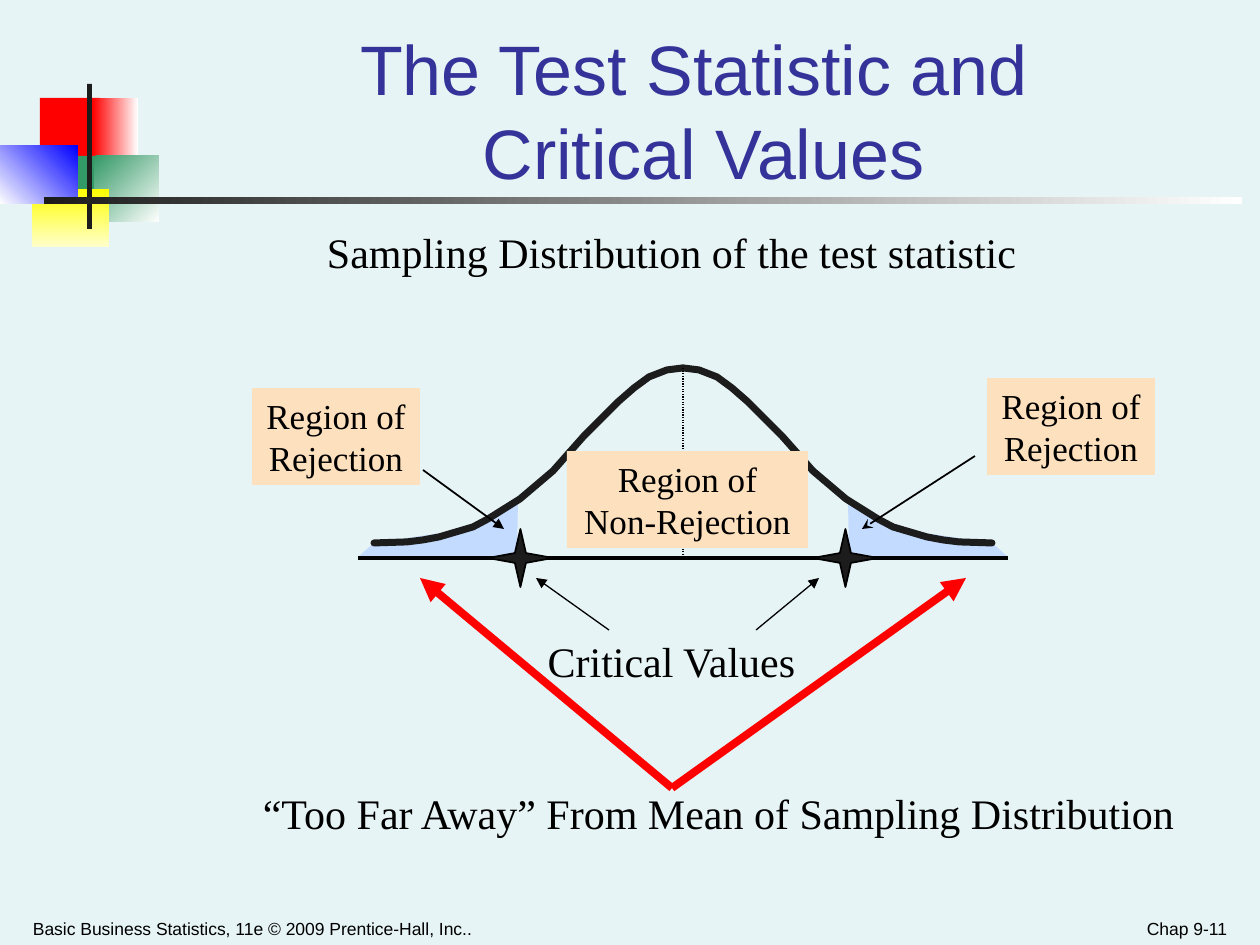
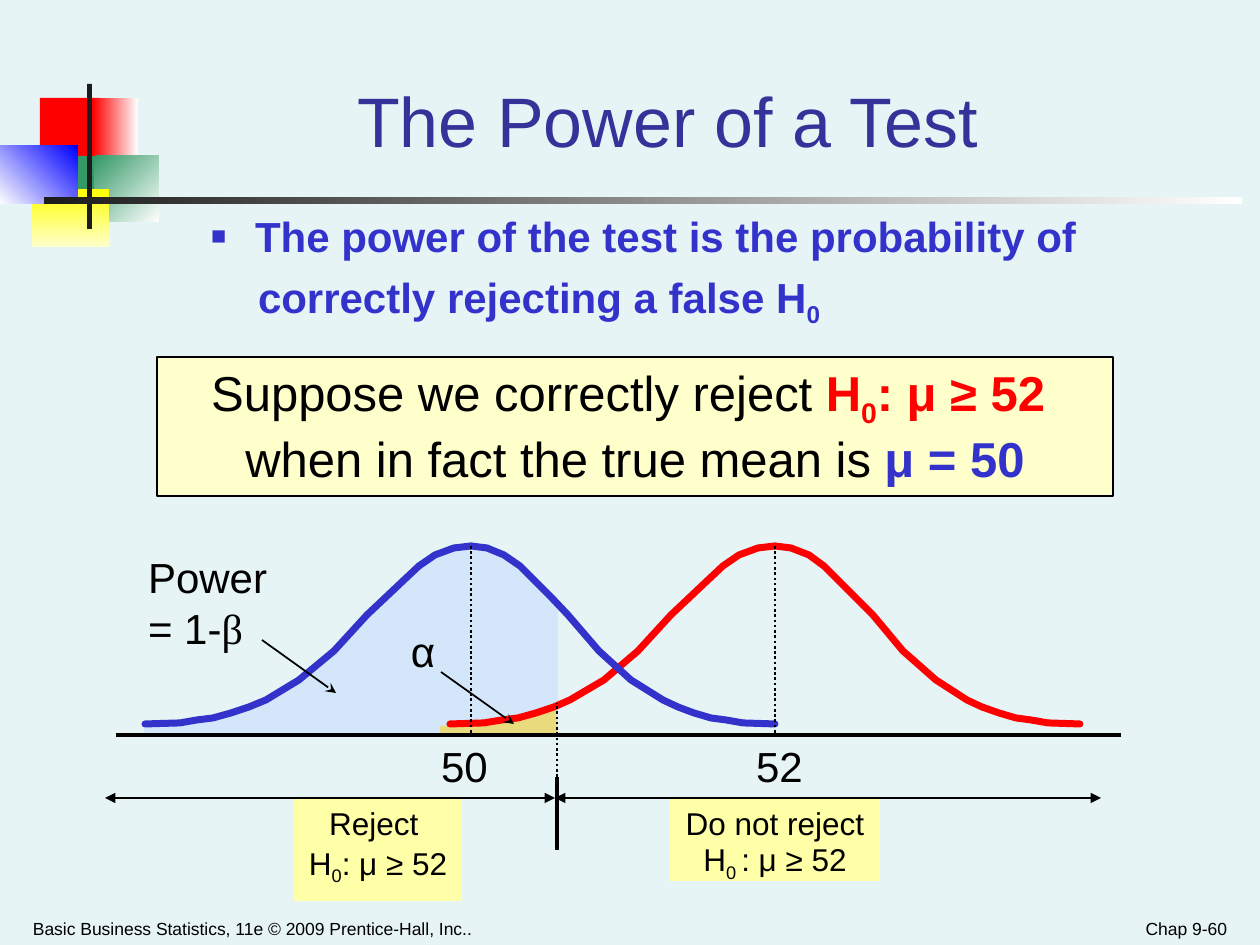
import dataclasses

import lxml.etree
import pptx
import pptx.dml.color
import pptx.enum.dml
import pptx.enum.shapes
import pptx.enum.text
import pptx.oxml.ns
import pptx.util

qn = pptx.oxml.ns.qn
SHAPE = pptx.enum.shapes.MSO_SHAPE
ALIGN = pptx.enum.text.PP_ALIGN
ANCHOR = pptx.enum.text.MSO_ANCHOR


@dataclasses.dataclass(frozen=True)
class Theme:
    background: str = "E7F4F5"
    title: str = "333399"
    text: str = "000000"
    ink: str = "1C1C1C"
    blue: str = "3333CC"
    red: str = "FF0000"
    tail: str = "C3DBFF"
    alpha_area: str = "FFCF01"
    region: str = "FDE0BD"
    decision: str = "FFFFA7"
    statement: str = "FFFFCC"
    sans: str = "Arial"
    serif: str = "Times New Roman"
    title_size: int = 40
    statement_size: int = 28
    body_size: int = 24
    region_size: int = 20
    decision_size: int = 18
    footer_size: int = 10


THEME = Theme()
SUB = {"sub": True}
# Left half of a bell curve: percent of the half width, percent of the height.
BELL_HALF = [(0, 0), (10.6, 0.8), (16, 2), (21, 3.5), (26.5, 6), (32, 9.3),
             (37, 13.5), (47.3, 25), (58, 41), (68, 61), (73.5, 71), (79, 80.5),
             (84, 88.5), (89, 95), (94.7, 98.6), (100, 100)]


@dataclasses.dataclass
class Para:
    """A paragraph; each run is a string or a (string, format changes) pair."""
    runs: list
    align: ALIGN = ALIGN.LEFT
    before: float = 0
    spacing: float = 1.0
    margin: int = 0
    bullet: str = ""


def centered(*runs, **options):
    return Para(list(runs), ALIGN.CENTER, **options)


def rgb(color):
    return pptx.dml.color.RGBColor.from_string(color)


class Deck:
    PX = 914400 / 126
    LAYOUTS = {"title": 5, "list": 1}

    def __init__(self, theme):
        self.theme = theme
        self.prs = pptx.Presentation()
        self.prs.slide_width = self.emu(1260)
        self.prs.slide_height = self.emu(945)
        fill = self.prs.slide_master.background.fill
        fill.solid()
        fill.fore_color.rgb = rgb(theme.background)
        self.slide = None

    def emu(self, px):
        return pptx.util.Emu(round(px * self.PX))

    def new_slide(self, layout, number):
        first = self.slide is None
        self.slide = self.prs.slides.add_slide(
            self.prs.slide_layouts[self.LAYOUTS[layout]])
        if first:
            self.furnish_master()
        self.footer((945, 901, 294, 44), number, ALIGN.RIGHT)

    def furnish_master(self):
        """Draw the shared emblem, rule and footer, then move them to the master."""
        t = self.theme
        parts = [self.box(at, fill) for at, fill in [
            ((40, 98, 60, 66), t.red),
            ((93, 98, 45, 66), (t.red, "FFFFFF", 0)),
            ((94, 156, 65, 66), ("339966", "FFFFFF", 45)),
            ((54, 156, 40, 66), "339966"),
            ((32, 189, 77, 58), ("FFFF00", "FFFFCC", 90)),
            ((0, 146, 78, 58), ("FFFFFF", "0000FF", 315)),
            ((87, 84, 5, 145), t.ink),
            ((44, 197, 1198, 7), (t.ink, "FFFFFF", 0)),
        ]]
        parts.append(self.footer(
            (21, 901, 640, 44),
            "Basic Business Statistics, 11e © 2009 Prentice-Hall, Inc..", ALIGN.LEFT))
        for shape_id, sp in enumerate(parts, 100):
            sp.element.nvSpPr.cNvPr.set("id", str(shape_id))
            self.prs.slide_master.shapes.element.append(sp.element)

    def footer(self, at, text, align):
        return self.text(at, [Para([text], align)], size=self.theme.footer_size,
                         anchor=ANCHOR.BOTTOM)

    def paint(self, sp, fill=None, line=None, width=1, alpha=None):
        """Fill with a colour or a (from, to, clockwise angle) gradient."""
        sp.shadow.inherit = False
        if fill is None:
            sp.fill.background()
        elif isinstance(fill, tuple):
            sp.fill.gradient()
            sp.fill.gradient_angle = -fill[2] % 360
            for stop, color in zip(sp.fill.gradient_stops, fill):
                stop.color.rgb = rgb(color)
        else:
            sp.fill.solid()
            sp.fill.fore_color.rgb = rgb(fill)
        if alpha:
            color = sp.element.spPr.find(qn("a:solidFill")).find(qn("a:srgbClr"))
            lxml.etree.SubElement(color, qn("a:alpha")).set("val", str(alpha * 1000))
        if line:
            sp.line.color.rgb = rgb(line)
            sp.line.width = pptx.util.Pt(width)
        else:
            sp.line.fill.background()
        return sp

    def box(self, at, fill, line=None, width=1, shape=SHAPE.RECTANGLE):
        sp = self.slide.shapes.add_shape(shape, *map(self.emu, at))
        return self.paint(sp, fill, line, width)

    def star(self, at):
        sp = self.box(at, self.theme.ink, self.theme.text, shape=SHAPE.STAR_4_POINT)
        sp.adjustments[0] = 0.12

    def outline(self, points, close=True, **style):
        builder = self.slide.shapes.build_freeform(*points[0], scale=self.PX)
        builder.add_line_segments(points[1:], close=close)
        return self.paint(builder.convert_to_shape(), **style)

    def bell(self, left, peak, right, top, foot, color):
        for end in (left, right):
            points = [(end + (peak - end) * x / 100, foot + (top - foot) * y / 100)
                      for x, y in BELL_HALF]
            sp = self.outline(points, close=False, line=color, width=4)
            sp.element.spPr.find(qn("a:ln")).set("cap", "rnd")

    def line(self, start, end, width=1, color=None, head=None, tail=None, dotted=False):
        cn = self.slide.shapes.add_connector(
            pptx.enum.shapes.MSO_CONNECTOR.STRAIGHT,
            *map(self.emu, (*start, *end)))
        cn.line.color.rgb = rgb(color or self.theme.text)
        cn.line.width = pptx.util.Pt(width)
        if dotted:
            cn.line.dash_style = pptx.enum.dml.MSO_LINE.ROUND_DOT
        ln = cn.element.spPr.find(qn("a:ln"))
        for tag, kind in (("a:headEnd", head), ("a:tailEnd", tail)):
            if kind:
                lxml.etree.SubElement(ln, qn(tag)).set("type", kind)
        lxml.etree.SubElement(cn.element.spPr, qn("a:effectLst"))

    def text(self, at, paras, **style):
        sp = self.slide.shapes.add_textbox(*map(self.emu, at))
        return self.set_text(sp, paras, **style)

    def label(self, at, fill, paras, line=None, width=1, **style):
        return self.set_text(self.box(at, fill, line, width), paras, **style)

    def placeholder(self, index, at, paras, **style):
        sp = self.slide.placeholders[index]
        sp.left, sp.top, sp.width, sp.height = map(self.emu, at)
        return self.set_text(sp, paras, **style)

    def title(self, at, *runs):
        self.placeholder(0, at, [centered(*runs)], size=self.theme.title_size,
                         color=self.theme.title, anchor=ANCHOR.BOTTOM)

    def set_text(self, sp, paras, anchor=ANCHOR.TOP, **style):
        tf = sp.text_frame
        tf.word_wrap = True
        tf.auto_size = pptx.enum.text.MSO_AUTO_SIZE.NONE
        tf.vertical_anchor = anchor
        tf.margin_left = tf.margin_right = self.emu(12)
        tf.margin_top = tf.margin_bottom = self.emu(6)
        for i, para in enumerate(paras):
            p = tf.add_paragraph() if i else tf.paragraphs[0]
            p.alignment = para.align
            p.space_before = pptx.util.Pt(para.before if i else 0)
            p.line_spacing = para.spacing
            self.indent(p, para)
            for run in para.runs:
                text, changes = (run, {}) if isinstance(run, str) else run
                if text == "\n":
                    p.add_line_break()
                else:
                    self.add_run(p, text, **{**style, **changes})
        return sp

    def indent(self, p, para):
        pPr = p._p.get_or_add_pPr()
        pPr.set("marL", str(self.emu(para.margin)))
        pPr.set("indent", str(self.emu(-para.margin if para.bullet else 0)))
        if not para.bullet:
            lxml.etree.SubElement(pPr, qn("a:buNone"))
            return
        color = lxml.etree.SubElement(pPr, qn("a:buClr"))
        lxml.etree.SubElement(color, qn("a:srgbClr")).set("val", self.theme.blue)
        for tag, key, value in (("a:buSzPct", "val", "60000"),
                                ("a:buFont", "typeface", self.theme.sans),
                                ("a:buChar", "char", para.bullet)):
            lxml.etree.SubElement(pPr, qn(tag)).set(key, value)

    def add_run(self, p, text, size, font=None, color=None, bold=False, sub=False):
        r = p.add_run()
        r.text = text
        r.font.size = pptx.util.Pt(size)
        r.font.name = font or self.theme.sans
        r.font.bold = bold
        r.font.color.rgb = rgb(color or self.theme.text)
        if sub:
            r._r.get_or_add_rPr().set("baseline", "-25000")


def critical_values_slide(deck):
    t = deck.theme
    peak, axis = 683, 558
    deck.new_slide("title", "Chap 9-11")
    deck.title((220, 21, 967, 179), "The Test Statistic and ", "\n", "Critical Values")

    left_tail = [(358, 557), (374, 543), (441, 533), (475, 523), (513, 503),
                 (518, 500), (517, 557), (358, axis)]
    right_tail = [(2 * peak - x, y) for x, y in left_tail]
    for tail in (right_tail, left_tail):
        deck.outline(tail, fill=t.tail)
    deck.bell(374, peak, 992, 368, 543, t.ink)
    deck.line((358, axis), (1008, axis), 2)
    deck.line((peak, 368), (peak, axis), 0.75, dotted=True)
    for x in (488, 813):
        deck.star((x, 529, 65, 58))

    deck.line((423, 470), (504, 529), tail="triangle")
    deck.line((975, 456), (862, 529), tail="stealth")
    serif = {"size": t.body_size, "font": t.serif}
    deck.text((136, 630, 1071, 217), [
        centered("Critical Values"),
        centered("“Too Far Away” From Mean of Sampling Distribution",
                 before=58, margin=94)], **serif)
    deck.text((315, 221, 809, 63),
              [Para(["Sampling Distribution of the test statistic"])], **serif)
    deck.line((609, 630), (536, 578), 0.75, tail="triangle")
    deck.line((756, 630), (819, 578), 0.75, tail="triangle")
    for x in (420, 966):
        deck.line((672, 788), (x, 578), 4.5, t.red, tail="triangle")
    for at, lines in (((252, 388, 168, 97), ["Region of Rejection"]),
                      ((987, 378, 168, 97), ["Region of Rejection"]),
                      ((567, 451, 241, 97), ["Region of", "Non-Rejection"])):
        deck.label(at, t.region, [centered(line) for line in lines],
                   size=t.region_size, font=t.serif)


def power_slide(deck):
    t = deck.theme
    mean_50, mean_52, cutoff = 471, 775, 557
    top, foot, axis, decision_axis = 546, 724, 735, 798
    deck.new_slide("list", "Chap 9-60")

    deck.outline([(144, 733), (144, 726), (232, 714), (263, 704), (343, 641),
                  (377, 605), (389, 593), (415, 570), (449, 549), (475, 547),
                  (504, 557), (558, 606), (558, axis), (144, axis)],
                 fill=t.tail, alpha=50)
    for at, verdict, zero, spacing in (
            ((294, 798, 168, 103), "Reject ", "0", 0.4),
            ((670, 798, 210, 83), "Do not reject ", "0 ", 0.3)):
        deck.label(at, t.decision, [
            centered(verdict),
            centered("H", (zero, SUB), ": μ ≥ 52", before=11.2, spacing=spacing)],
            size=t.decision_size)
    deck.title((159, 32, 1017, 136), "The Power of a Test")
    deck.placeholder(1, (199, 210, 977, 136), [
        Para(["The power of the test is the probability of"],
             spacing=0.9, margin=44, bullet="■"),
        Para(["correctly rejecting a false H", ("0", SUB)],
             before=6, spacing=0.9, margin=47)],
        size=t.body_size, color=t.blue, bold=True)

    deck.outline([(440, 733), (440, 726), (490, 723), (523, 714), (539, 712),
                  (556, 703), (cutoff, axis), (440, axis)],
                 fill=t.alpha_area, alpha=50)
    deck.bell(450, mean_52, 1080, top, foot, t.red)
    deck.bell(145, mean_50, 775, top, foot, t.blue)
    deck.line((116, axis), (1121, axis), 2)
    for mean, x, value in ((mean_52, 743, "52"), (mean_50, 428, "50")):
        deck.line((mean, top), (mean, axis), 1.5, dotted=True)
        deck.text((x, axis, 73, 63), [centered(value)], size=t.body_size)
    deck.line((cutoff, 777), (cutoff, 850), 2.25)
    deck.line((cutoff, 777), (cutoff, 703), 1.5, dotted=True)
    for x in (1101, 105):
        deck.line((555, decision_axis), (x, decision_axis), 1.5,
                  head="triangle", tail="triangle")

    null = {"color": t.red, "bold": True}
    deck.label((157, 357, 956, 139), t.statement, [
        centered("Suppose we correctly reject ", ("H", null), ("0", {**null, **SUB}),
                 (": μ ≥ 52 ", null), spacing=0.9),
        centered("when in fact the true mean is ",
                 ("μ = 50", {"color": t.blue, "bold": True}), before=7, spacing=0.9)],
        line=t.text, width=1.5, size=t.statement_size)
    deck.text((399, 620, 53, 63), [Para(["α"])], size=t.body_size)
    deck.text((136, 546, 168, 113), [Para(["Power = 1-", ("β", {"font": t.serif})])],
              size=t.body_size)
    deck.line((441, 672), (514, 724), tail="stealth")
    deck.line((262, 640), (336, 693), tail="stealth")


def main():
    deck = Deck(THEME)
    critical_values_slide(deck)
    power_slide(deck)
    deck.prs.save("out.pptx")


if __name__ == "__main__":
    main()
